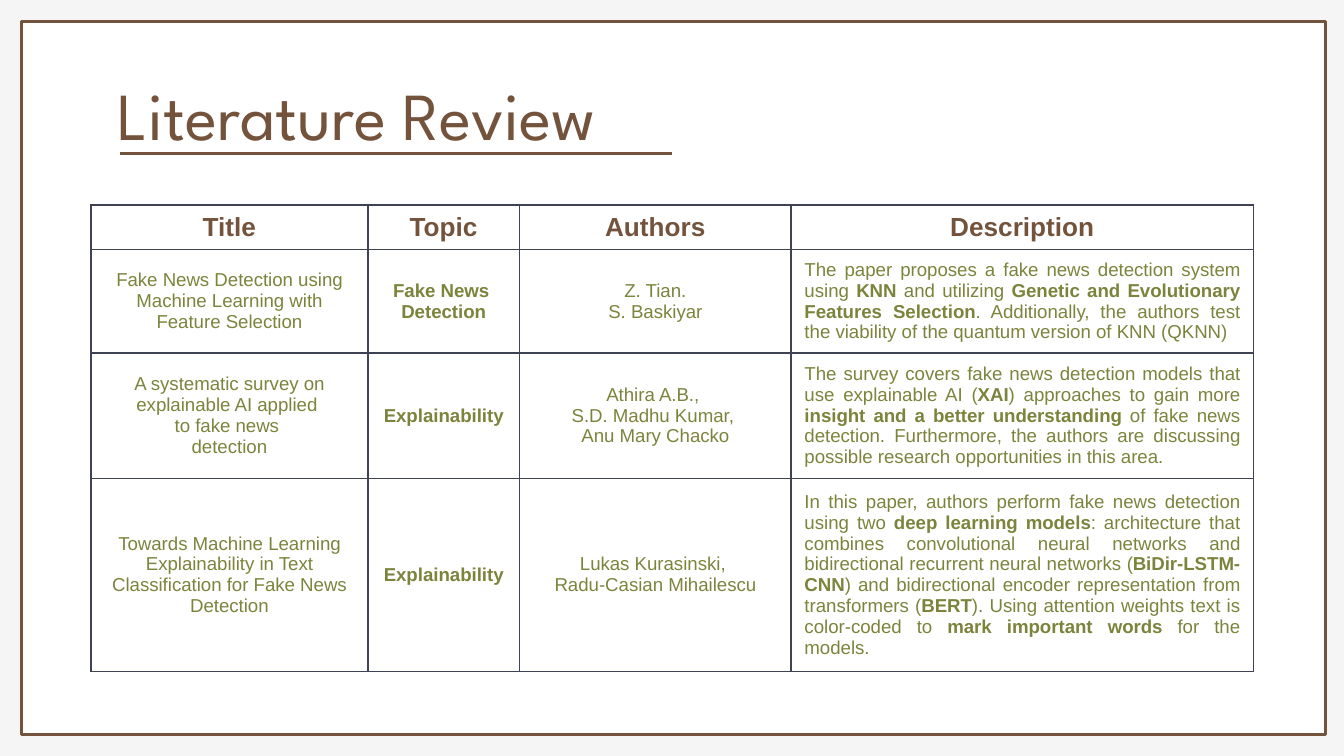
"""Build the literature review slide with its table of papers."""
import pptx
import pptx.util
import pptx.dml.color
import pptx.enum.shapes
import pptx.enum.text
import pptx.oxml
import pptx.oxml.ns
import lxml.etree

Cm, Pt = pptx.util.Cm, pptx.util.Pt
RGBColor = pptx.dml.color.RGBColor
ALIGN = pptx.enum.text.PP_ALIGN
MIDDLE = pptx.enum.text.MSO_ANCHOR.MIDDLE
BROWN = RGBColor(0x74, 0x53, 0x3D)
OLIVE = RGBColor(0x7C, 0x84, 0x3C)
SLATE = RGBColor(0x3F, 0x42, 0x52)
WHITE = RGBColor(0xFF, 0xFF, 0xFF)
GREY = RGBColor(0xF5, 0xF5, 0xF5)

TITLE = {"name": "League Spartan", "size": Pt(36)}
HEAD = {"name": "Arial", "size": Pt(14)}
BODY = {"name": "Arial", "size": Pt(10)}
WIDTHS = [5.23, 2.87, 5.13, 8.74]
HEIGHTS = [0.78, 1.95, 2.23, 3.41]
ROWS = [
    ["**Title**", "**Topic**", "**Authors**", "**Description**"],
    [
        "Fake News Detection using Machine Learning with Feature Selection",
        "**Fake News **\n**Detection**",
        "Z. Tian.\nS. Baskiyar",
        "The paper proposes a fake news detection system using **KNN** and utilizing "
        "**Genetic and Evolutionary Features Selection**. Additionally, the authors "
        "test the viability of the quantum version of KNN (QKNN)",
    ],
    [
        "A systematic survey on explainable AI applied \nto fake news \ndetection",
        "**Explainability**",
        "Athira A.B., \nS.D. Madhu Kumar, \nAnu Mary Chacko",
        "The survey covers fake news detection models that use explainable AI "
        "(**XAI**) approaches to gain more **insight and a better understanding** of "
        "fake news detection. Furthermore, the authors are discussing "
        "possible research opportunities in this area.",
    ],
    [
        "Towards Machine Learning Explainability in Text Classification for Fake News "
        "Detection",
        "**Explainability**",
        "Lukas Kurasinski, \nRadu-Casian Mihailescu",
        "In this paper, authors perform fake news detection using two **deep learning "
        "models**: architecture that combines convolutional neural networks and "
        "bidirectional recurrent neural networks (**BiDir-LSTM-CNN**) and "
        "bidirectional encoder representation from transformers (**BERT**). Using "
        "attention weights text is color-coded to **mark important words** for the "
        "models.",
    ],
]


def write(frame, text, look, color, align):
    for i, line in enumerate(text.split("\n")):
        para = frame.paragraphs[0] if i == 0 else frame.add_paragraph()
        para.alignment = align
        for j, part in enumerate(line.split("**")):
            if part:
                run = para.add_run()
                run.text = part
                for key, value in {**look, "bold": j % 2 == 1}.items():
                    setattr(run.font, key, value)
                run.font.color.rgb = color


def border(cell):
    props = cell._tc.get_or_add_tcPr()
    for i, tag in enumerate(["lnL", "lnR", "lnT", "lnB"]):
        edge = pptx.oxml.parse_xml(
            f'<a:{tag} {pptx.oxml.ns.nsdecls("a")} w="{Pt(1)}"><a:solidFill>'
            f'<a:srgbClr val="{SLATE}"/></a:solidFill></a:{tag}>'
        )
        props.insert(i, edge)


deck = pptx.Presentation()
deck.slide_width, deck.slide_height = Cm(25.4), Cm(14.29)
slide = deck.slides.add_slide(deck.slide_layouts[6])
slide.background.fill.solid()
slide.background.fill.fore_color.rgb = GREY
shapes = slide.shapes

panel = shapes.add_shape(
    pptx.enum.shapes.MSO_SHAPE.RECTANGLE, Cm(0.4), Cm(0.4), Cm(24.65), Cm(13.48)
)
panel.shadow.inherit = False
panel.fill.solid()
panel.fill.fore_color.rgb = WHITE
panel.line.color.rgb = BROWN
panel.line.width = Pt(1.5)

title = shapes.add_textbox(Cm(1.98), Cm(1.07), Cm(20.68), Cm(2.16))
title.line.color.rgb = WHITE
title.line.width = Pt(0.75)
frame = title.text_frame
for key, value in {
    "word_wrap": True,
    "vertical_anchor": MIDDLE,
    "margin_left": Cm(0.25),
    "margin_right": Cm(0.25),
    "margin_top": Cm(0.25),
    "margin_bottom": Cm(0.25),
}.items():
    setattr(frame, key, value)
write(frame, "Literature Review", TITLE, BROWN, ALIGN.LEFT)

grid = shapes.add_table(
    len(ROWS), len(WIDTHS), Cm(1.72), Cm(3.87), Cm(sum(WIDTHS)), Cm(sum(HEIGHTS))
).table
for col, width in zip(grid.columns, WIDTHS):
    col.width = Cm(width)
for r, (row, height) in enumerate(zip(ROWS, HEIGHTS)):
    grid.rows[r].height = Cm(height)
    look, color = (HEAD, BROWN) if r == 0 else (BODY, OLIVE)
    for c, text in enumerate(row):
        cell = grid.cell(r, c)
        cell.fill.background()
        cell.vertical_anchor = MIDDLE
        align = ALIGN.JUSTIFY if r > 0 and c == 3 else ALIGN.CENTER
        write(cell.text_frame, text, look, color, align)
        border(cell)

rule = shapes.add_connector(
    pptx.enum.shapes.MSO_CONNECTOR.STRAIGHT, Cm(2.26), Cm(2.9), Cm(12.7), Cm(2.9)
)
rule.line.color.rgb = BROWN
rule.line.width = Pt(1.5)
lxml.etree.SubElement(rule._element.spPr, pptx.oxml.ns.qn("a:effectLst"))

deck.save("out.pptx")
